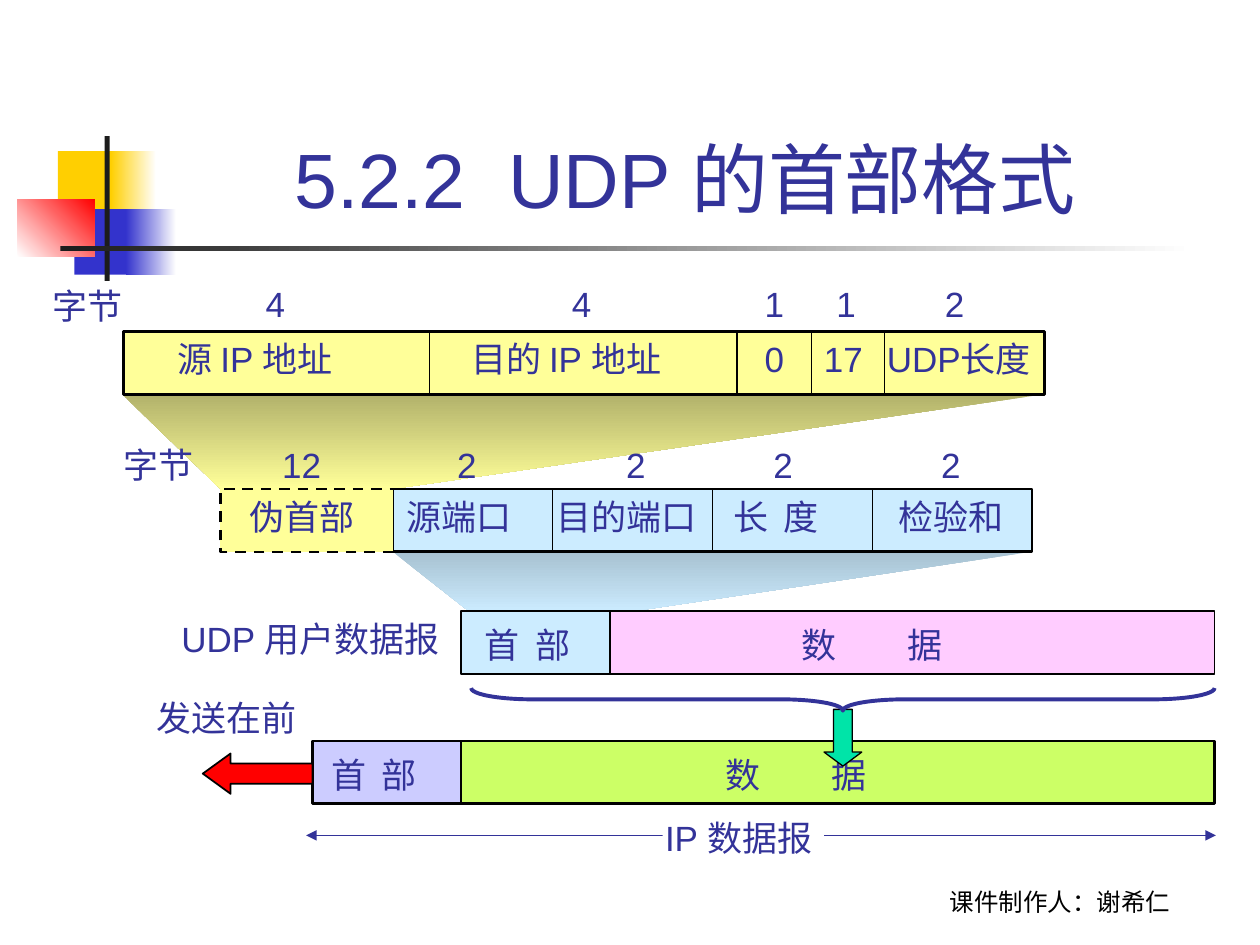
from typing import NamedTuple, Optional

from lxml import etree
from pptx import Presentation
from pptx.dml.color import RGBColor
from pptx.enum.dml import MSO_LINE
from pptx.enum.shapes import MSO_CONNECTOR, MSO_SHAPE
from pptx.enum.text import MSO_ANCHOR, MSO_AUTO_SIZE, PP_ALIGN
from pptx.oxml.ns import qn
from pptx.util import Inches, Pt

RECT = MSO_SHAPE.RECTANGLE
STRAIGHT = MSO_CONNECTOR.STRAIGHT
CENTER = PP_ALIGN.CENTER
BOTTOM = MSO_ANCHOR.BOTTOM

COLORS = {
    "ink": "333399", "black": "000000", "white": "FFFFFF", "charcoal": "1C1C1C",
    "gold": "FFCF01", "blue": "3333CC", "red": "FF0000", "green": "00E4A8",
    "yellow": "FFFF99", "olive": "B2B26B", "sky": "CCECFF", "steel": "A7C1D1",
    "pink": "FFCCFF", "lime": "CCFF66", "lavender": "CCCCFF",
}
ROW_HEIGHT = 0.5
LABEL_HEIGHT = 0.44
# Label widths that hold two, three and four characters
TWO, THREE, FOUR = 0.77, 1.05, 1.33


class Block(NamedTuple):
    left: float
    top: float
    width: float
    height: float
    fill: str
    fade_to: Optional[str] = None
    angle: float = 0            # clockwise
    line_width: float = 0
    preset: MSO_SHAPE = RECT
    adjustments: tuple = ()


class Label(NamedTuple):
    text: str
    left: float
    top: float
    width: float
    tab: float = 0              # tab stop that spreads two characters


def rgb(name: str) -> RGBColor:
    return RGBColor.from_string(COLORS[name])


def paint(shape, fill: str, fade_to: Optional[str] = None, angle: float = 0,
          line_width: float = 0) -> None:
    shape.shadow.inherit = False
    if fade_to:
        shape.fill.gradient()
        shape.fill.gradient_angle = (360 - angle) % 360
        for stop, color in zip(shape.fill.gradient_stops, (fill, fade_to)):
            stop.color.rgb = rgb(color)
    else:
        shape.fill.solid()
        shape.fill.fore_color.rgb = rgb(fill)
    if line_width:
        shape.line.color.rgb = rgb("black")
        shape.line.width = Pt(line_width)
    else:
        shape.line.fill.background()


def draw_block(slide, block: Block):
    shape = slide.shapes.add_shape(
        block.preset, *(Inches(value) for value in block[:4]))
    paint(shape, block.fill, block.fade_to, block.angle, block.line_width)
    for index, value in enumerate(block.adjustments):
        shape.adjustments[index] = value
    return shape


def draw_outline(slide, points: list, closed: bool = True):
    corners = [(Inches(x), Inches(y)) for x, y in points]
    builder = slide.shapes.build_freeform(*corners[0])
    builder.add_line_segments(corners[1:], close=closed)
    return builder.convert_to_shape()


def draw_line(slide, x1: float, y1: float, x2: float, y2: float, color: str):
    line = slide.shapes.add_connector(
        STRAIGHT, Inches(x1), Inches(y1), Inches(x2), Inches(y2))
    line.line.color.rgb = rgb(color)
    line.line.width = Pt(0.75)
    etree.SubElement(line._element.spPr, qn("a:effectLst"))
    return line


def draw_row(slide, block: Block, dividers: list) -> None:
    row = draw_block(slide, block)
    for x in dividers:
        line = draw_line(slide, x, block.top, x, block.top + block.height, "black")
        if abs(x - block.left - block.width / 2) < 0.01:
            line.begin_connect(row, 0)
            line.end_connect(row, 2)


def add_run(paragraph, text: str, size: float, font: str = "Arial",
            color: str = "ink"):
    run = paragraph.add_run()
    run.text = text
    run.font.size = Pt(size)
    run.font.name = font
    run.font.color.rgb = rgb(color)
    return run


def draw_label(slide, label: Label) -> None:
    box = slide.shapes.add_textbox(Inches(label.left), Inches(label.top),
                                   Inches(label.width), Inches(LABEL_HEIGHT))
    box.text_frame.word_wrap = False
    box.text_frame.auto_size = MSO_AUTO_SIZE.SHAPE_TO_FIT_TEXT
    paragraph = box.text_frame.paragraphs[0]
    if label.tab:
        tabs = etree.SubElement(paragraph._p.get_or_add_pPr(), qn("a:tabLst"))
        etree.SubElement(tabs, qn("a:tab"), pos=str(Inches(label.tab)), algn="l")
    add_run(paragraph, label.text, 20)


def draw_title(slide) -> None:
    title = slide.shapes.title
    title.left, title.top = Inches(1.18), Inches(0.23)
    title.width, title.height = Inches(8.52), Inches(1.6)
    title.text_frame.vertical_anchor = BOTTOM
    title.text_frame.auto_size = MSO_AUTO_SIZE.NONE
    paragraph = title.text_frame.paragraphs[0]
    paragraph.alignment = CENTER
    add_run(paragraph, "5.2.2", 44)
    gap = add_run(paragraph, " ", 44)
    gap.font._element.set("spc", "1200")
    add_run(paragraph, "UDP 的首部格式", 44)


def draw_credit(slide) -> None:
    box = slide.shapes.add_textbox(Inches(6.83), Inches(6.82), Inches(3.17), Inches(0.5))
    box.text_frame.word_wrap = True
    box.text_frame.vertical_anchor = BOTTOM
    paragraph = box.text_frame.paragraphs[0]
    paragraph.alignment = CENTER
    add_run(paragraph, "课件制作人：谢希仁", 14, "Cabin", "black")


DECORATION = [
    Block(0.46, 1.2, 0.48, 0.52, "gold"),
    Block(0.88, 1.2, 0.36, 0.52, "gold", "white"),
    Block(0.59, 1.66, 0.46, 0.52, "blue"),
    Block(1, 1.66, 0.4, 0.52, "blue", "white"),
    Block(0.14, 1.58, 0.61, 0.46, "white", "red", 315),
    Block(0.83, 1.08, 0.04, 1.15, "charcoal"),
    Block(0.48, 1.95, 9, 0.04, "charcoal", "white"),
]
PSEUDO_TOP, HEADER_TOP, UDP_TOP, IP_TOP = 2.63, 3.88, 4.85, 5.88
HEADER_LEFT, HEADER_WIDTH = 3.12, 5.07
PACKETS = [
    Block(3.66, UDP_TOP, 1.18, ROW_HEIGHT, "sky", line_width=1),
    Block(4.84, UDP_TOP, 4.8, ROW_HEIGHT, "pink", line_width=1),
    Block(3.66, IP_TOP, 5.98, ROW_HEIGHT, "lime", line_width=1.5),
    Block(2.48, IP_TOP, 1.18, ROW_HEIGHT, "lavender", line_width=1.5),
    Block(1.61, 5.98, 0.87, 0.32, "red", line_width=1,
          preset=MSO_SHAPE.LEFT_ARROW, adjustments=(0.5, 0.69)),
]
LABELS = [
    # Pseudo-header: byte counts and fields
    Label("字节", 0.32, 2.21, TWO),
    *(Label(count, x, 2.19, 0.35) for count, x in
      [("4", 2.01), ("4", 4.44), ("1", 5.97), ("1", 6.54), ("2", 7.4)]),
    *(Label(field, x, PSEUDO_TOP, width) for field, x, width in
      [("源 IP 地址", 1.31, 1.64), ("目的 IP 地址", 3.64, 1.92), ("0", 5.97, 0.35),
       ("17", 6.44, 0.51), ("UDP长度", 6.94, 1.41)]),
    # UDP header: byte counts and fields
    Label("字节", 0.88, 3.47, TWO),
    Label("12", 2.14, 3.47, 0.51),
    *(Label("2", x, 3.47, 0.35) for x in (3.53, 4.87, 6.04, 7.37)),
    *(Label(field, x, HEADER_TOP, width) for field, x, width in
      [("伪首部", 1.88, THREE), ("源端口", 3.13, THREE), ("目的端口", 4.32, FOUR),
       ("检验和", 7.03, THREE)]),
    Label("长\t度", 5.72, HEADER_TOP, 1.03, 0.4),
    # Datagrams
    Label("UDP 用户数据报", 1.34, UDP_TOP, 2.32),
    Label("首\t部", 3.75, 4.9, 1.03, 0.4),
    Label("数\t据", 6.26, 4.9, 2.01, 0.84),
    Label("发送在前", 1.14, 5.48, FOUR),
    Label("首\t部", 2.53, 5.93, 1.03, 0.4),
    Label("数\t据", 5.66, 5.93, 2.01, 0.84),
    Label("IP 数据报", 5.18, 6.43, 1.44),
]


def main() -> None:
    deck = Presentation()
    deck.slide_width, deck.slide_height = Inches(10), Inches(7.5)
    slide = deck.slides.add_slide(deck.slide_layouts[5])

    for block in DECORATION:
        draw_block(slide, block)
    draw_title(slide)
    draw_credit(slide)

    # Funnels from each header to its expanded fields
    paint(draw_outline(slide, [(3.12, 4.38), (8.18, 4.38), (4.97, 4.86), (3.72, 4.85)]),
          "steel", "sky", 90)
    paint(draw_outline(slide, [(0.97, 3.13), (8.28, 3.13), (3.12, 3.88), (1.75, 3.88)]),
          "olive", "yellow", 90)

    # Header rows with their fields
    draw_row(slide, Block(0.98, PSEUDO_TOP, 7.31, ROW_HEIGHT, "yellow", line_width=1.5),
             [3.41, 5.85, 6.44, 7.02])
    draw_row(slide, Block(HEADER_LEFT, HEADER_TOP, HEADER_WIDTH, ROW_HEIGHT, "sky",
                          line_width=1.5),
             [HEADER_LEFT + HEADER_WIDTH * i / 4 for i in (1, 2, 3)])
    pseudo_header = draw_outline(
        slide, [(3.12, 4.38), (1.75, 4.38), (1.75, 3.88), (3.12, 3.88)], closed=False)
    paint(pseudo_header, "yellow", line_width=1.5)
    pseudo_header.line.dash_style = MSO_LINE.DASH

    for block in PACKETS:
        draw_block(slide, block)

    # Extent of the IP datagram
    extent = draw_line(slide, 2.43, 6.63, 9.65, 6.63, "ink")
    for end in ("a:headEnd", "a:tailEnd"):
        etree.SubElement(extent.line._get_or_add_ln(), qn(end), type="triangle")
    draw_block(slide, Block(5.26, 6.46, 1.28, 0.32, "white"))

    for label in LABELS:
        draw_label(slide, label)

    # Brace and arrow: the UDP datagram becomes IP data
    draw_block(slide, Block(6.54, 5.63, 0.3, 0.45, "green", line_width=0.75,
                            preset=MSO_SHAPE.DOWN_ARROW, adjustments=(0.5, 0.37)))
    brace = draw_block(slide, Block(6.6, 2.6, 0.18, 5.9, "white", line_width=2.25,
                                    preset=MSO_SHAPE.LEFT_BRACE, adjustments=(2.7, 0.5)))
    brace.rotation = 270
    brace.fill.background()
    brace.line.color.rgb = rgb("ink")

    deck.save("out.pptx")


if __name__ == "__main__":
    main()
